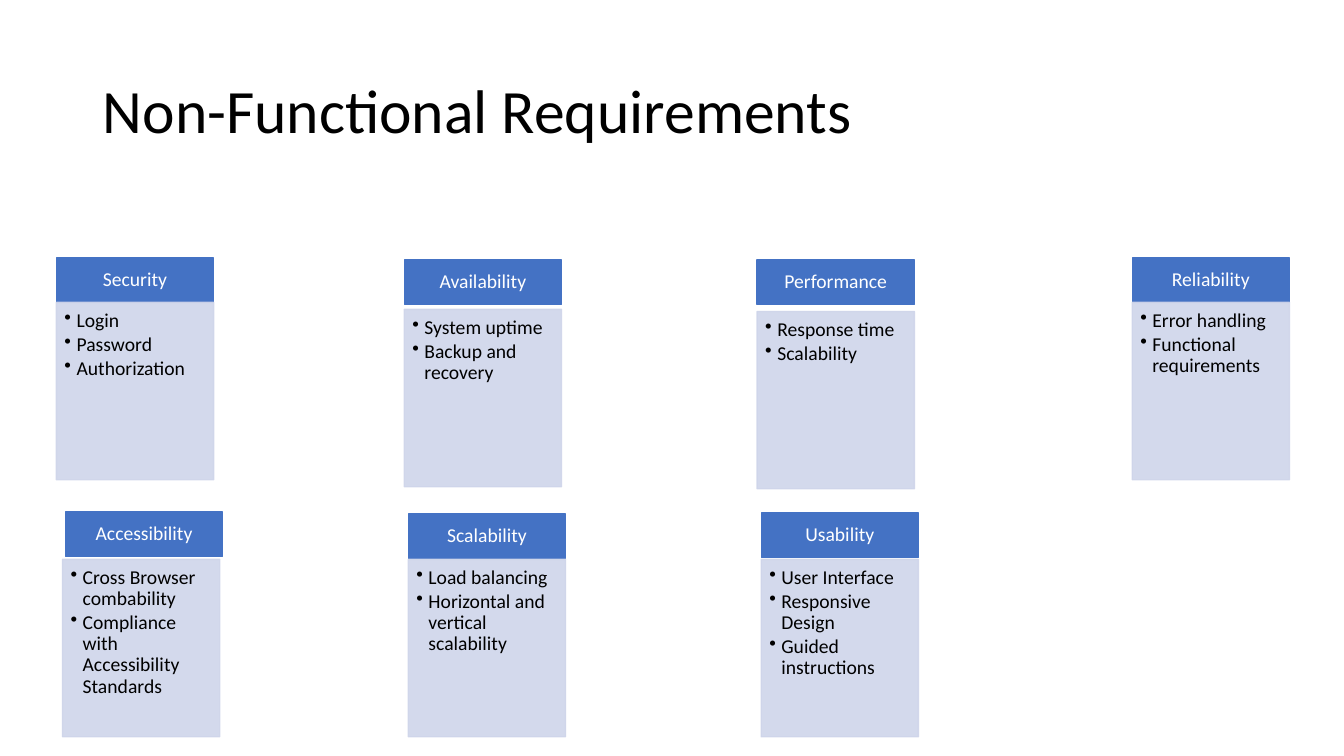
from typing import NamedTuple

from lxml.etree import SubElement
from pptx import Presentation
from pptx.dml.color import RGBColor
from pptx.enum.shapes import MSO_SHAPE
from pptx.enum.text import MSO_ANCHOR, PP_ALIGN
from pptx.oxml.ns import qn
from pptx.util import Inches, Pt

COLORS = {"heading": "4472C4", "body": "CFD5EA", "light": "FFFFFF", "dark": "000000"}
FONT = "Calibri"
COLUMN_LEFTS = (0.56, 4.01, 7.51, 11.23)
HEADING_TOPS = (2.56, 5.08)
BODY_TOPS = (3, 5.55)
CARD_WIDTH, HEADING_HEIGHT, BODY_HEIGHT = 1.56, 0.44, 1.76
BULLET_INDENT = 0.12


class Card(NamedTuple):
    """A category on the grid; shifts are (right, down) offsets from its cell."""
    column: int
    row: int
    heading: str
    items: tuple
    heading_shift: tuple = (0, 0)
    body_shift: tuple = (0, 0)


CARDS = (
    Card(0, 0, "Security", ("Login", "Password", "Authorization")),
    Card(1, 0, "Availability", ("System uptime", "Backup and recovery"),
         (0, 0.02), (0, 0.07)),
    Card(2, 0, "Performance", ("Response time", "Scalability"),
         (0, 0.02), (0, 0.09)),
    Card(0, 1, "Accessibility",
         ("Cross Browser combability", "Compliance with Accessibility Standards"),
         (0.09, 0), (0.06, 0)),
    Card(1, 1, "Scalability", ("Load balancing", "Horizontal and vertical scalability"),
         (0.04, 0.02), (0.04, 0)),
    Card(2, 1, "Usability", ("User Interface", "Responsive Design", "Guided instructions"),
         (0.04, 0.01), (0.04, 0)),
    Card(3, 0, "Reliability", ("Error handling", "Functional requirements")),
)


def add_span(para, text, size, color):
    span = para.add_run()
    span.text = text
    span.font.name = FONT
    span.font.size = Pt(size)
    span.font.color.rgb = RGBColor.from_string(COLORS[color])


def set_insets(frame, left, top, right, bottom):
    frame.margin_left, frame.margin_top = Inches(left), Inches(top)
    frame.margin_right, frame.margin_bottom = Inches(right), Inches(bottom)


def set_opacity(fill_parent, percent):
    for color in fill_parent.iter(qn("a:srgbClr")):
        SubElement(color, qn("a:alpha"), val=str(percent * 1000))


def add_bullet(para):
    properties = para._p.get_or_add_pPr()
    properties.set("marL", str(Inches(BULLET_INDENT)))
    properties.set("indent", str(-Inches(BULLET_INDENT)))
    SubElement(properties, qn("a:buChar"), char="•")


def add_panel(page, left, top, height, color):
    panel = page.shapes.add_shape(MSO_SHAPE.RECTANGLE, Inches(left), Inches(top),
                                  Inches(CARD_WIDTH), Inches(height))
    panel.shadow.inherit = False
    panel.fill.solid()
    panel.fill.fore_color.rgb = RGBColor.from_string(COLORS[color])
    panel.line.color.rgb = RGBColor.from_string(COLORS[color])
    panel.line.width = Pt(1)
    panel.text_frame.word_wrap = True
    return panel


def add_heading(page, card):
    right, down = card.heading_shift
    panel = add_panel(page, COLUMN_LEFTS[card.column] + right,
                      HEADING_TOPS[card.row] + down, HEADING_HEIGHT, "heading")
    frame = panel.text_frame
    frame.vertical_anchor = MSO_ANCHOR.MIDDLE
    set_insets(frame, 0.11, 0.06, 0.11, 0.06)
    para = frame.paragraphs[0]
    para.alignment = PP_ALIGN.CENTER
    para.line_spacing = 0.9
    add_span(para, card.heading, 14, "light")


def add_body(page, card):
    right, down = card.body_shift
    panel = add_panel(page, COLUMN_LEFTS[card.column] + right,
                      BODY_TOPS[card.row] + down, BODY_HEIGHT, "body")
    set_opacity(panel._element.spPr, 90)
    frame = panel.text_frame
    frame.vertical_anchor = MSO_ANCHOR.TOP
    set_insets(frame, 0.08, 0.08, 0.11, 0.12)
    for index, item in enumerate(card.items):
        para = frame.add_paragraph() if index else frame.paragraphs[0]
        para.level = 1
        para.alignment = PP_ALIGN.LEFT
        para.line_spacing = 0.9
        para.space_after = Pt(2)
        add_bullet(para)
        add_span(para, item, 14, "dark")


def add_title(page, text):
    title = page.shapes.title
    title.left, title.top = Inches(0.92), Inches(0.4)
    title.width, title.height = Inches(11.5), Inches(1.45)
    title.text_frame.vertical_anchor = MSO_ANCHOR.MIDDLE
    para = title.text_frame.paragraphs[0]
    para.alignment = PP_ALIGN.LEFT
    para.line_spacing = 0.9
    add_span(para, text, 44, "dark")


def main():
    deck = Presentation()
    deck.slide_width, deck.slide_height = Inches(13.33), Inches(7.5)
    page = deck.slides.add_slide(deck.slide_layouts.get_by_name("Title Only"))
    add_title(page, "Non-Functional Requirements")
    for card in CARDS:
        add_heading(page, card)
        add_body(page, card)
    deck.save("out.pptx")


if __name__ == "__main__":
    main()
